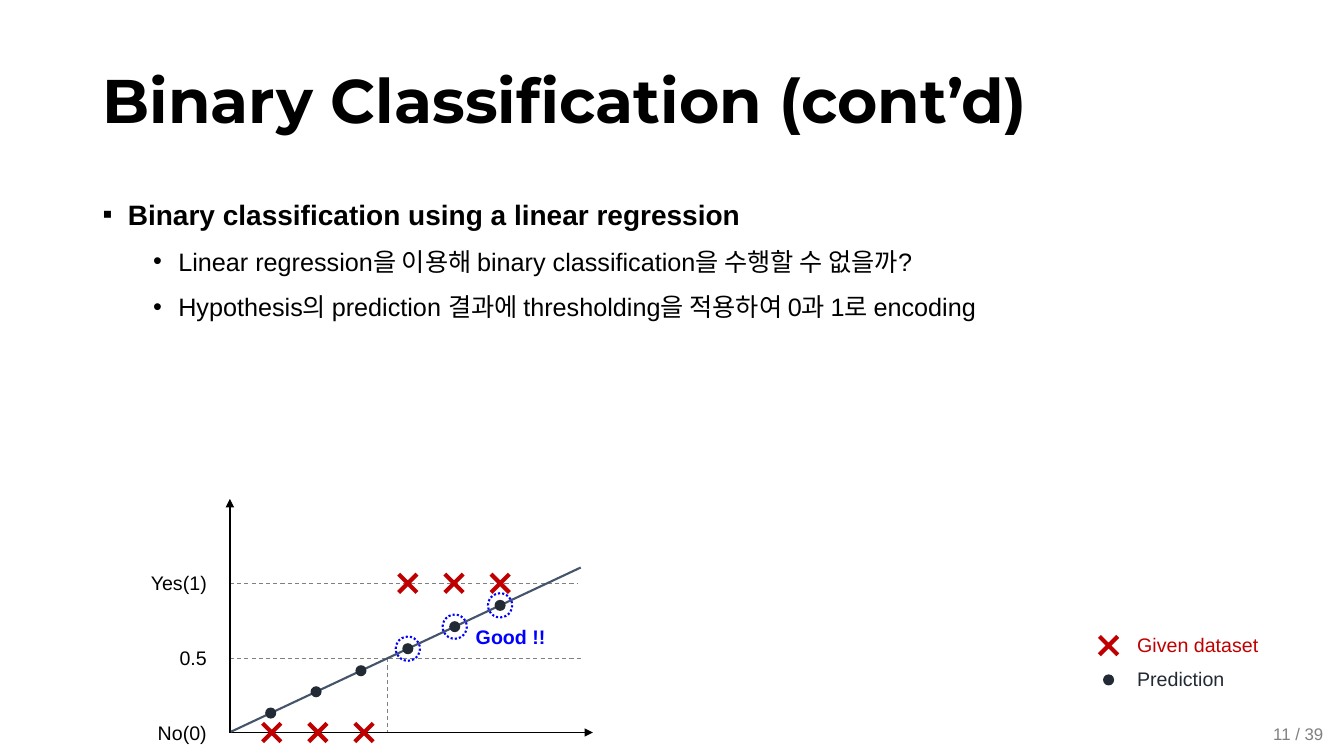
from lxml import etree
from pptx import Presentation, util as u
from pptx.dml.color import RGBColor
from pptx.enum import dml, shapes, text
from pptx.oxml import ns

BLACK, GRAY, RED, NAVY, SLATE, BLUE = "000000", "808080", "C00000", "222A35", "44546A", "0000FF"
RIGHT, JUSTIFY = text.PP_ALIGN.RIGHT, text.PP_ALIGN.JUSTIFY
DASH, DOTS = dml.MSO_LINE.DASH, dml.MSO_LINE.ROUND_DOT
CROSS, OVAL = shapes.MSO_SHAPE.MATH_MULTIPLY, shapes.MSO_SHAPE.OVAL


def rgb(code):
    return RGBColor.from_string(code)


def cells(*counts):
    """Lengths on a grid with ten columns and ten rows to the inch."""
    return [u.Inches(count / 10) for count in counts]


class Canvas:
    font = "Arial"

    def __init__(self, deck):
        self.page = deck.slides.add_slide(deck.slide_layouts[6])

    def style(self, para, size, color, bold=False, font=None):
        for span in para.runs:
            span.font.name = font or self.font
            span.font.size = u.Pt(size)
            span.font.bold = bold
            span.font.color.rgb = rgb(color)

    def box(self, left, top, width, height, wrap=True):
        frame = self.page.shapes.add_textbox(*cells(left, top, width, height)).text_frame
        frame.word_wrap = wrap
        return frame

    def label(self, words, place, size=14, color=BLACK, bold=False, font=None,
              align=None, spacing=None, wrap=True, middle=False):
        frame = self.box(*place, wrap=wrap)
        if middle:
            frame.vertical_anchor = text.MSO_ANCHOR.MIDDLE
        frame.text = words
        para = frame.paragraphs[0]
        para.alignment, para.line_spacing = align, spacing
        self.style(para, size, color, bold, font)

    def bullets(self, items, place):
        frame = self.box(*place)
        for number, (words, level) in enumerate(items):
            para = frame.add_paragraph() if number else frame.paragraphs[0]
            para.text, para.level = words, level
            props = para._p.get_or_add_pPr()
            props.set("marL", str(u.Inches(0.25 + 0.5 * level)))
            props.set("indent", str(u.Inches(-0.25)))
            etree.SubElement(props, ns.qn("a:buFont")).set("typeface", self.font)
            etree.SubElement(props, ns.qn("a:buChar")).set("char", "▪•"[level])
            para.line_spacing = 1.5
            self.style(para, 20 - 2 * level, BLACK, bold=level == 0)

    def line(self, start, end, color, width, dash=None, arrow=False):
        line = self.page.shapes.add_connector(
            shapes.MSO_CONNECTOR.STRAIGHT, *cells(*start, *end))
        line.line.color.rgb = rgb(color)
        line.line.width = u.Pt(width)
        if dash:
            line.line.dash_style = dash
        if arrow:
            etree.SubElement(line.line._get_or_add_ln(), ns.qn("a:tailEnd")).set("type", "triangle")
        etree.SubElement(line._element.spPr, ns.qn("a:effectLst"))

    def mark(self, kind, x, y, size, color):
        """A shape centred on a point."""
        shape = self.page.shapes.add_shape(
            kind, *cells(x - size / 2, y - size / 2, size, size))
        shape.shadow.inherit = False
        shape.fill.solid()
        shape.fill.fore_color.rgb = rgb(color)
        shape.line.fill.background()
        return shape

    def cross(self, x, y):
        self.mark(CROSS, x, y, 3.5, RED).adjustments[0] = 0.118

    def dot(self, x, y):
        self.mark(OVAL, x, y, 1.1, NAVY)

    def ring(self, x, y):
        ring = self.mark(OVAL, x, y, 2.4, BLUE)
        ring.fill.background()
        ring.line.color.rgb = rgb(BLUE)
        ring.line.width = u.Pt(1.5)
        ring.line.dash_style = DOTS


def draw_plot(canvas):
    axis, yes, half, no = 22.8, 57.87, 65.3, 72.67
    fit_start, fit_end = (22.9, 72.6), (57.6, 56.3)
    slope = (fit_end[1] - fit_start[1]) / (fit_end[0] - fit_start[0])

    # Guides and axes
    canvas.line((axis, yes), (57.2, yes), GRAY, 0.75, DASH)
    canvas.line((axis, half), (57.7, half), GRAY, 0.75, DASH)
    canvas.line((38.4, half), (38.4, no), GRAY, 0.75, DASH)
    canvas.line((axis, no), (58.8, no), BLACK, 1, arrow=True)
    canvas.line((axis, no), (axis, 49.5), BLACK, 1, arrow=True)
    for words, y in (("Yes(1)", yes), ("0.5", half), ("No(0)", no)):
        canvas.label(words, (11.1, y - 2.15, 10.4, 3.6), align=RIGHT, spacing=1.2)

    # Given data
    for first, y in ((26.95, no), (40.45, yes)):
        for step in range(3):
            canvas.cross(first + 4.58 * step, y)

    # Fitted line with its predictions, the positive ones ringed
    canvas.line(fit_start, fit_end, SLATE, 1.5)
    for x in (26.85, 31.35, 35.8, 40.45, 45.1, 49.6):
        y = fit_start[1] + slope * (x - fit_start[0])
        canvas.dot(x, y)
        if x > 38.4:
            canvas.ring(x, y)
    canvas.label("Good !!", (46.2, 61, 11.2, 4.6), color=BLUE, bold=True,
                 align=JUSTIFY, spacing=1.2)


def main():
    deck = Presentation()
    deck.slide_width, deck.slide_height = u.Inches(13.33), u.Inches(7.5)
    canvas = Canvas(deck)

    # Heading and page number
    canvas.label("Binary Classification (cont’d)", (9.2, 3, 115, 14.5), size=44, bold=True,
                 font="Montserrat", spacing=0.9, middle=True)
    canvas.label("11 / 39", (125.3, 71.3, 7.3, 3), size=12, color=GRAY, wrap=False)

    # Bullets
    canvas.bullets([
        ("Binary classification using a linear regression", 0),
        ("Linear regression을 이용해 binary classification을 수행할 수 없을까?", 1),
        ("Hypothesis의 prediction 결과에 thresholding을 적용하여 0과 1로 encoding", 1),
    ], (9.2, 17.4, 115, 53.5))

    draw_plot(canvas)

    # Legend
    canvas.cross(109.95, 64.05)
    canvas.label("Given dataset", (111.8, 62.3, 14.1, 3.4), color=RED, wrap=False)
    canvas.dot(109.95, 67.45)
    canvas.label("Prediction", (111.8, 65.7, 10.7, 3.4), color=NAVY, wrap=False)

    deck.save("out.pptx")


if __name__ == "__main__":
    main()
